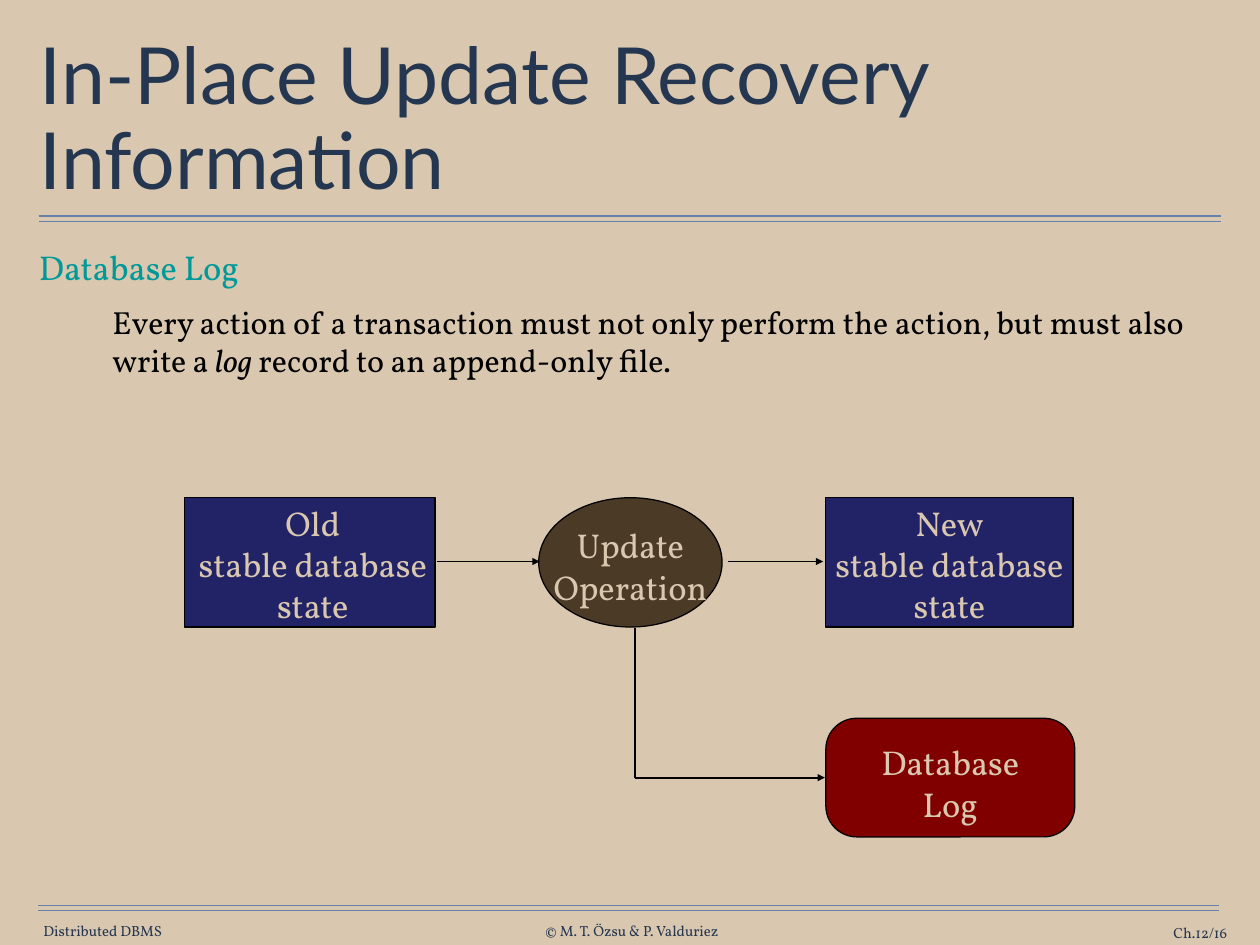
from dataclasses import dataclass

from lxml import etree
from pptx import Presentation
from pptx import util as u
from pptx.dml.color import RGBColor
from pptx.enum import shapes, text
from pptx.oxml.ns import qn

SCALE = 9144
LEFT, MID, RIGHT = text.PP_ALIGN.LEFT, text.PP_ALIGN.CENTER, text.PP_ALIGN.RIGHT


@dataclass(frozen=True)
class Theme:
    sand: str = "D9C8AF"
    rule: str = "6682AA"
    title: str = "253750"
    foot: str = "263750"
    teal: str = "009999"
    ink: str = "000000"
    navy: str = "222267"
    brown: str = "4A3A26"
    red: str = "800000"
    head: str = "Lato"
    body: str = "Vollkorn"
    big: int = 64
    label: int = 28
    note: int = 26
    small: int = 12
    gap: int = 12


def px(n):
    return u.Emu(n * SCALE)


def paint(fill, tint):
    fill.solid()
    fill.fore_color.rgb = RGBColor.from_string(tint)


class Board:
    def __init__(self, theme, slide):
        self.theme, self.slide = theme, slide
        paint(slide.background.fill, theme.sand)

    def run(self, para, words, size, tint, face=None, slant=False):
        run = para.add_run()
        run.text = words
        font = run.font
        font.size, font.name, font.italic = u.Pt(size), face or self.theme.body, slant
        font.color.rgb = RGBColor.from_string(tint)

    def frame(self, shape, pad, wrap, anchor):
        frame = shape.text_frame
        frame.word_wrap, frame.vertical_anchor = wrap, anchor
        frame.margin_left = frame.margin_right = px(pad)
        frame.margin_top = frame.margin_bottom = px(pad)
        return frame

    def box(self, area, pad=0, wrap=True, anchor=text.MSO_ANCHOR.MIDDLE):
        shape = self.slide.shapes.add_textbox(*map(px, area))
        return self.frame(shape, pad, wrap, anchor)

    def foot(self, area, words, align):
        para = self.box(area, wrap=False).paragraphs[0]
        para.alignment = align
        self.run(para, words, self.theme.small, self.theme.foot)

    def node(self, kind, area, tint, lines, drop=3, shift=0):
        shape = self.slide.shapes.add_shape(kind, *map(px, area))
        shape.shadow.inherit = False
        paint(shape.fill, tint)
        paint(shape.line.fill, self.theme.ink)
        shape.line.width = u.Pt(1)
        frame = self.frame(shape, 0, False, text.MSO_ANCHOR.MIDDLE)
        frame.margin_top, frame.margin_left = px(drop), px(shift)
        for i, words in enumerate(lines):
            para = frame.add_paragraph() if i else frame.paragraphs[0]
            para.alignment = MID
            self.run(para, words, self.theme.label, self.theme.sand)
        return shape

    def line(self, start, end, tint, width=1.5, arrow=False):
        link = self.slide.shapes.add_connector(
            shapes.MSO_CONNECTOR.STRAIGHT, *map(px, start + end))
        paint(link.line.fill, tint)
        link.line.width = u.Pt(width)
        props = link._element.spPr
        if arrow:
            etree.SubElement(props.get_or_add_ln(), qn("a:tailEnd"), type="triangle")
        etree.SubElement(props, qn("a:effectLst"))


def main():
    deck = Presentation()
    deck.slide_width, deck.slide_height = px(1422), px(1067)
    theme = Theme()
    board = Board(theme, deck.slides.add_slide(deck.slide_layouts[6]))

    for left, right, top in ((44, 1378, 244), (43, 1376, 1022)):
        for y in (top, top + 6):
            board.line((left, y), (right, y), theme.rule, 1)

    board.foot((47, 1041, 138, 20), "Distributed DBMS", MID)
    board.foot((609, 1041, 208, 20), "© M. T. Özsu & P. Valduriez", MID)
    board.foot((1231, 1043, 154, 20), "Ch.12/16", RIGHT)

    title = board.box((39, 49, 1344, 176), pad=6).paragraphs[0]
    title.alignment, title.line_spacing = LEFT, 0.9
    board.run(title, "In-Place Update Recovery Information",
              theme.big, theme.title, theme.head)

    body = board.box((38, 272, 1344, 180), pad=6, anchor=text.MSO_ANCHOR.TOP)
    board.run(body.paragraphs[0], "Database Log", theme.label, theme.teal)
    para = body.add_paragraph()
    para.space_before = u.Pt(theme.gap)
    para._p.get_or_add_pPr().set("marL", str(px(83)))
    for words, slant in (
        ("Every action of a transaction must not only perform the action, "
         "but must also write a ", False),
        ("log", True),
        (" record to an append-only file.", False),
    ):
        board.run(para, words, theme.note, theme.ink, slant=slant)

    kind = shapes.MSO_SHAPE
    state = ["stable database", "state"]
    board.node(kind.RECTANGLE, (208, 562, 283, 146), theme.navy, ["Old"] + state, shift=7)
    board.node(kind.OVAL, (608, 562, 207, 146), theme.brown,
               ["Update", "Operation"], drop=8)
    board.node(kind.RECTANGLE, (932, 562, 279, 146), theme.navy, ["New"] + state)
    log = board.node(kind.ROUNDED_RECTANGLE, (932, 811, 281, 134), theme.red,
                     ["Database", "Log"], drop=12)
    log.adjustments[0] = 0.26

    board.line((717, 879), (717, 709), theme.ink)
    for left, right, y in ((493, 609, 634), (822, 929, 634), (717, 931, 878)):
        board.line((left, y), (right, y), theme.ink, arrow=True)

    deck.save("out.pptx")


if __name__ == "__main__":
    main()
